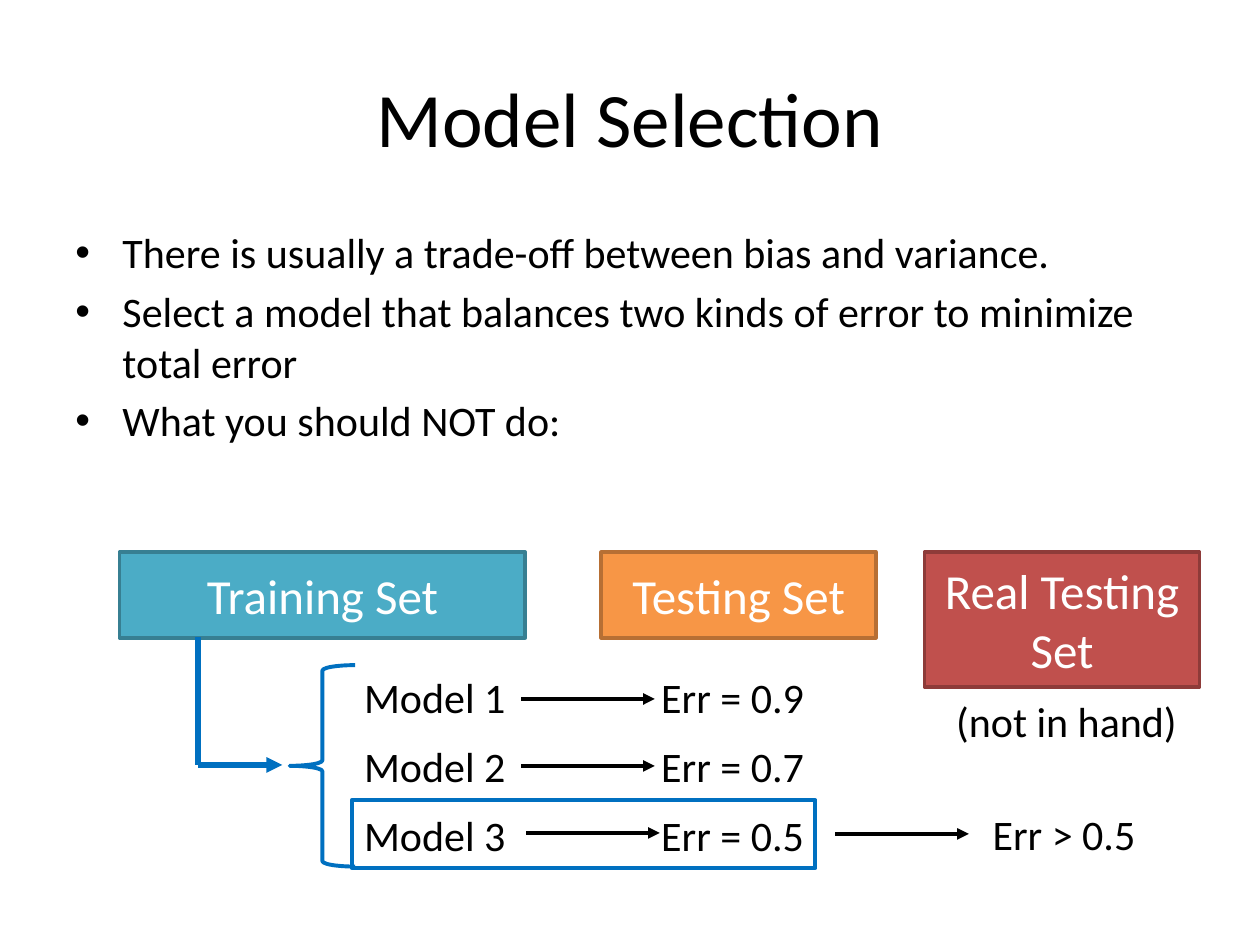
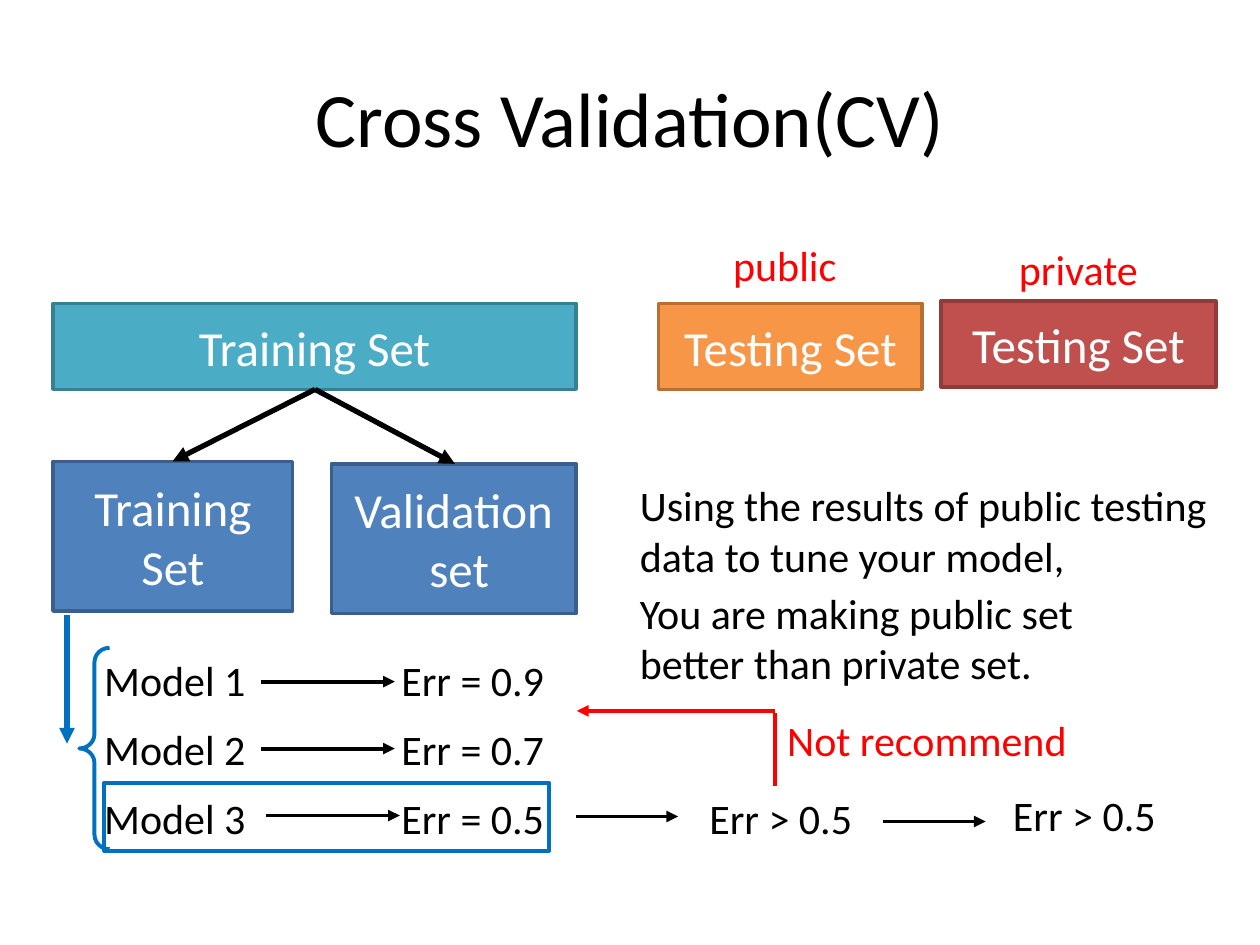
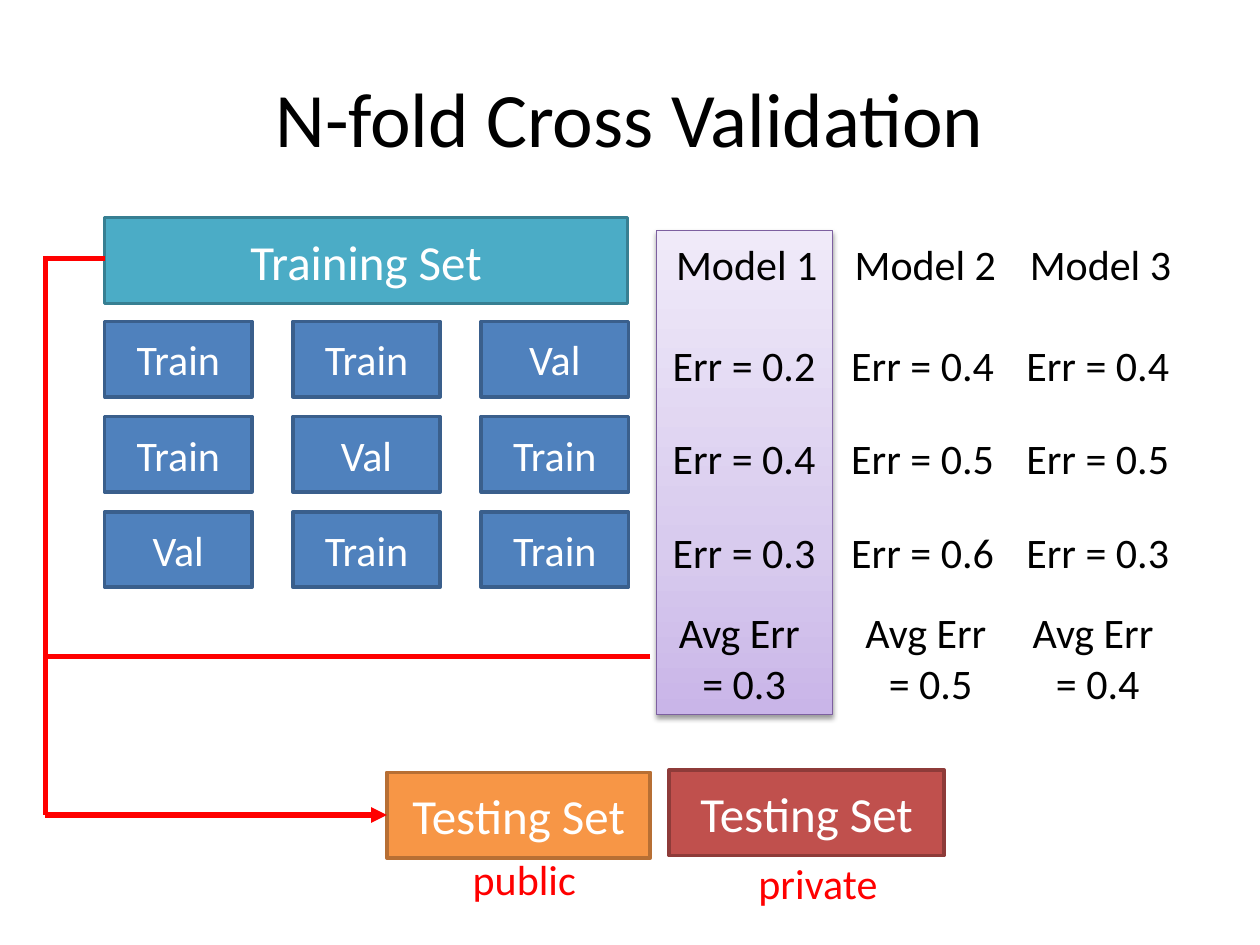
from copy import deepcopy

from pptx import Presentation
from pptx.dml.color import RGBColor
from pptx.enum.shapes import MSO_CONNECTOR, MSO_SHAPE
from pptx.enum.text import MSO_ANCHOR, PP_ALIGN
from pptx.oxml.ns import qn
from pptx.oxml.xmlchemy import OxmlElement
from pptx.util import Cm, Pt

RECTANGLE, LEFT_BRACE = MSO_SHAPE.RECTANGLE, MSO_SHAPE.LEFT_BRACE
STRAIGHT = MSO_CONNECTOR.STRAIGHT
LEFT, CENTER = PP_ALIGN.LEFT, PP_ALIGN.CENTER
TOP, MIDDLE = MSO_ANCHOR.TOP, MSO_ANCHOR.MIDDLE

FONT = "Calibri"
BLACK = RGBColor(0x00, 0x00, 0x00)
WHITE = RGBColor(0xFF, 0xFF, 0xFF)
RED = RGBColor(0xFF, 0x00, 0x00)
BLUE = RGBColor(0x00, 0x70, 0xC0)
PURPLE = RGBColor(0x7D, 0x60, 0xA0)
PANEL_STOPS = (
    (0, RGBColor(0xC9, 0xB5, 0xE8)),
    (0.35, RGBColor(0xD8, 0xCB, 0xEE)),
    (1, RGBColor(0xF0, 0xEA, 0xF9)),
)

# Fill and outline of each kind of data set
TRAINING = (RGBColor(0x4B, 0xAC, 0xC6), RGBColor(0x37, 0x7F, 0x92))
PUBLIC = (RGBColor(0xF7, 0x96, 0x46), RGBColor(0xB7, 0x6F, 0x34))
PRIVATE = (RGBColor(0xC0, 0x50, 0x4D), RGBColor(0x8E, 0x3B, 0x39))
SPLIT = (RGBColor(0x4F, 0x81, 0xBD), RGBColor(0x3A, 0x5F, 0x8C))

TITLE_BOX = (1.27, 0.76, 22.86, 3.18)
SET_HEIGHT = 1.73
LABEL_HEIGHT = 1.27
MODEL_WIDTH = 3.5
ERROR_WIDTH = 3.78


def in_cm(box):
    return [Cm(length) for length in box]


def add_xml(parent, tag, **attributes):
    element = OxmlElement(tag)
    for name, value in attributes.items():
        element.set(name, str(value))
    parent.append(element)
    return element


def write_text(shape, text, size=24, color=BLACK, align=LEFT, anchor=TOP,
               bullet=False, space_before=0):
    """Fill a shape with text, one paragraph for each line."""
    frame = shape.text_frame
    frame.word_wrap = True
    frame.vertical_anchor = anchor
    for index, line in enumerate(text.split("\n")):
        paragraph = frame.add_paragraph() if index else frame.paragraphs[0]
        paragraph.alignment = align
        if index and space_before:
            paragraph.space_before = Pt(space_before)
        if bullet:
            properties = paragraph._p.get_or_add_pPr()
            properties.set("marL", str(Cm(0.95)))
            properties.set("indent", str(-Cm(0.95)))
            add_xml(properties, "a:buFont", typeface="Arial")
            add_xml(properties, "a:buChar", char="•")
        run = paragraph.add_run()
        run.text = line
        run.font.name = FONT
        run.font.size = Pt(size)
        run.font.color.rgb = color


def add_text(slide, box, text, **text_format):
    write_text(slide.shapes.add_textbox(*in_cm(box)), text, **text_format)


def add_outline(slide, box, color, kind=RECTANGLE, width=2.25):
    shape = slide.shapes.add_shape(kind, *in_cm(box))
    shape.shadow.inherit = False
    shape.fill.background()
    shape.line.color.rgb = color
    shape.line.width = Pt(width)
    return shape


def add_set(slide, box, text, colors, size=28):
    fill, outline = colors
    shape = add_outline(slide, box, outline, width=2)
    shape.fill.solid()
    shape.fill.fore_color.rgb = fill
    write_text(shape, text, size=size, color=WHITE, align=CENTER, anchor=MIDDLE)


def add_line(slide, start, end, color=BLACK, width=2.25, arrow=True):
    connector = slide.shapes.add_connector(STRAIGHT, *in_cm(start + end))
    connector.line.color.rgb = color
    connector.line.width = Pt(width)
    properties = connector._element.spPr
    if arrow:
        add_xml(properties.find(qn("a:ln")), "a:tailEnd", type="triangle")
    add_xml(properties, "a:effectLst")


def add_titled_slide(presentation, title):
    slide = presentation.slides.add_slide(presentation.slide_layouts[6])
    add_text(slide, TITLE_BOX, title, size=44, align=CENTER, anchor=MIDDLE)
    return slide


def add_model_errors(slide, box, brace, highlight, brace_curve=None):
    """Three models with their errors; brace and highlight are (offset, width)."""
    left, top, width, height = box
    error_left = left + width - ERROR_WIDTH
    pitch = (height - LABEL_HEIGHT) / 2
    for row, error in enumerate(("0.9", "0.7", "0.5")):
        y = top + row * pitch
        add_text(slide, (left, y, MODEL_WIDTH, LABEL_HEIGHT), f"Model {row + 1}")
        add_text(slide, (error_left, y, ERROR_WIDTH, LABEL_HEIGHT), f"Err = {error}")
        arrow_left = left + (3.52 if row == 2 else 3.42)
        arrow_y = top + 0.68 + row * 1.35
        add_line(slide, (arrow_left, arrow_y), (arrow_left + 2.69, arrow_y))
    offset, brace_width = brace
    shape = add_outline(slide, (left + offset, top, brace_width, height), BLUE, LEFT_BRACE)
    if brace_curve:
        shape.adjustments[0] = brace_curve
    offset, highlight_width = highlight
    add_outline(slide, (left + offset, top + 2.72, highlight_width, 1.37), BLUE)


def add_testing_pair(slide, box, label_offset):
    """Public and private testing sets with their red labels."""
    left, top, width, height = box
    private_width = 5.54
    add_set(slide, (left, top, 5.31, height), "Testing Set", PUBLIC)
    add_set(slide, (left + width - private_width, top - 0.05, private_width, height),
            "Testing Set", PRIVATE)
    label_left, label_top = left + label_offset[0], top + label_offset[1]
    for text, x, y in (("public", 0, 0), ("private", 5.92, 0.08)):
        add_text(slide, (label_left + x, label_top + y, 5.08, LABEL_HEIGHT), text,
                 color=RED, align=CENTER)


def add_fold_grid(slide, box):
    """Each fold validates on a different third of the training set."""
    left, top, width, height = box
    cell_width, cell_height = 2.97, 1.52
    for row in range(3):
        for column in range(3):
            cell = (left + column * (width - cell_width) / 2,
                    top + row * (height - cell_height) / 2, cell_width, cell_height)
            text = "Val" if row + column == 2 else "Train"
            add_set(slide, cell, text, SPLIT, size=24)


def add_winner_panel(slide, box):
    """Shaded panel with a gradient and a soft shadow."""
    panel = add_outline(slide, box, PURPLE, width=0.75)
    panel.fill.gradient()
    panel.fill.gradient_angle = 90
    properties = panel._element.spPr
    stops = properties.find(".//" + qn("a:gsLst"))
    stops.append(deepcopy(stops[0]))
    for stop, (position, color) in zip(panel.fill.gradient_stops, PANEL_STOPS):
        stop.position = position
        stop.color.rgb = color
    shadow = add_xml(properties.find(qn("a:effectLst")), "a:outerShdw",
                     blurRad=Pt(3.1), dist=Pt(1.6), dir=5400000, rotWithShape=0)
    add_xml(add_xml(shadow, "a:srgbClr", val="000000"), "a:alpha", val=38000)


def add_error_column(slide, box, name, errors, average, average_shift):
    left, top, width, height = box
    add_text(slide, (left + 0.27, top, MODEL_WIDTH, LABEL_HEIGHT), name)
    for row, error in enumerate(errors):
        add_text(slide, (left, top + 2.03 + row * 1.89, width, LABEL_HEIGHT),
                 f"Err = {error}", align=CENTER)
    add_text(slide, (left + average_shift, top + height - 2.31, width, 2.31),
             f"Avg Err \n= {average}", align=CENTER)


def build_model_selection(presentation):
    slide = add_titled_slide(presentation, "Model Selection")
    add_text(slide, (1.27, 4.45, 22.86, 12.57),
             "There is usually a trade-off between bias and variance.\n"
             "Select a model that balances two kinds of error to minimize total error\n"
             "What you should NOT do:", bullet=True, space_before=4.8)
    # Data sets
    add_set(slide, (2.41, 11.13, 8.18, SET_HEIGHT), "Training Set", TRAINING)
    add_set(slide, (12.12, 11.13, 5.54, SET_HEIGHT), "Testing Set", PUBLIC)
    add_set(slide, (18.64, 11.13, 5.54, 2.72), "Real Testing Set", PRIVATE)
    add_text(slide, (18.82, 13.89, 5.36, LABEL_HEIGHT), "(not in hand)", align=CENTER)
    # Models trained on the training set
    add_line(slide, (3.99, 12.85), (3.99, 15.42), BLUE, 3, arrow=False)
    add_line(slide, (3.99, 15.42), (5.69, 15.42), BLUE, 3)
    add_model_errors(slide, (7.09, 13.41, 9.77, 4.06), (-1.25, 1.32), (0, 9.35))
    # Error of the chosen model on real data
    add_line(slide, (16.84, 16.81), (19.53, 16.81))
    add_text(slide, (19.76, 16.18, ERROR_WIDTH, LABEL_HEIGHT), "Err > 0.5")


def build_cross_validation(presentation):
    slide = add_titled_slide(presentation, "Cross Validation(CV)")
    # Data sets and the split of the training set
    add_set(slide, (1.07, 6.12, 10.54, SET_HEIGHT), "Training Set", TRAINING)
    add_testing_pair(slide, (13.28, 6.12, 11.23, SET_HEIGHT), (0, -1.42))
    add_set(slide, (1.07, 9.3, 4.83, 3.02), "Training Set", SPLIT)
    add_set(slide, (6.68, 9.35, 4.93, 3.02), "Validation\n set", SPLIT)
    for end in ((3.48, 9.3), (9.17, 9.35)):
        add_line(slide, (6.35, 7.85), end, width=3)
    # Models and the errors that follow
    add_model_errors(slide, (1.85, 13.06, 9.77, 4.06), (-0.25, 0.61), (0.25, 8.97),
                     brace_curve=0.48)
    add_line(slide, (1.35, 12.4), (1.35, 14.99), BLUE, 3)
    for x, y in ((11.61, 16.46), (17.81, 16.56)):
        add_line(slide, (x, y), (x + 2.06, y))
    for x, y in ((14.05, 15.85), (20.17, 15.8)):
        add_text(slide, (x, y, ERROR_WIDTH, LABEL_HEIGHT), "Err > 0.5")
    # Warning about tuning on public data
    add_line(slide, (15.62, 15.85), (15.62, 14.38), RED, arrow=False)
    add_line(slide, (15.62, 14.33), (11.63, 14.33), RED)
    add_text(slide, (12.65, 9.55, 12.22, 2.31),
             "Using the results of public testing data to tune your model,")
    add_text(slide, (12.65, 11.71, 10.36, 2.31),
             "You are making public set better than private set.")
    add_text(slide, (15.62, 14.27, 6.99, LABEL_HEIGHT), "Not recommend", color=RED)


def build_n_fold(presentation):
    slide = add_titled_slide(presentation, "N-fold Cross Validation")
    # Training set and its folds
    add_set(slide, (2.11, 4.39, 10.54, SET_HEIGHT), "Training Set", TRAINING)
    add_fold_grid(slide, (2.11, 6.48, 10.56, 5.36))
    # Errors of each model, the best one on a panel
    add_winner_panel(slide, (13.23, 4.65, 3.56, 9.75))
    columns = (
        (13.11, "Model 1", ("0.2", "0.4", "0.3"), "0.3", 0),
        (16.71, "Model 2", ("0.4", "0.5", "0.6"), "0.5", 0.16),
        (20.24, "Model 3", ("0.4", "0.5", "0.3"), "0.4", 0),
    )
    for left, *content in columns:
        add_error_column(slide, (left, 4.68, ERROR_WIDTH, 9.74), *content)
    # Testing sets
    add_testing_pair(slide, (7.8, 15.57, 11.23, SET_HEIGHT), (0.23, 1.52))
    # Path from the best model through retraining to testing
    for start, end in (((0.91, 5.16), (0.91, 16.43)),
                       ((13.11, 13.23), (0.91, 13.23)),
                       ((2.11, 5.21), (0.91, 5.21))):
        add_line(slide, start, end, RED, 3, arrow=False)
    add_line(slide, (0.91, 16.43), (7.8, 16.43), RED, 3)


def main():
    presentation = Presentation()
    presentation.slide_width, presentation.slide_height = Cm(25.4), Cm(19.05)
    build_model_selection(presentation)
    build_cross_validation(presentation)
    build_n_fold(presentation)
    presentation.save("out.pptx")


if __name__ == "__main__":
    main()
